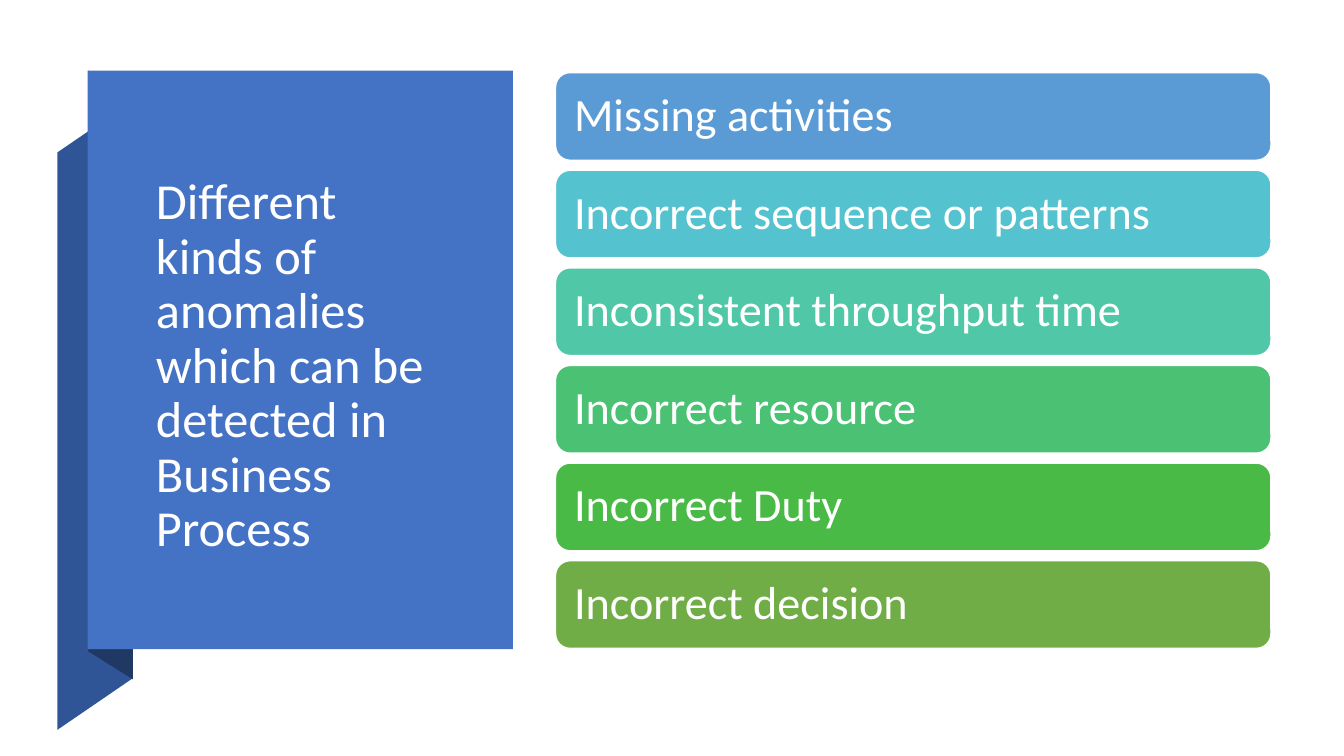
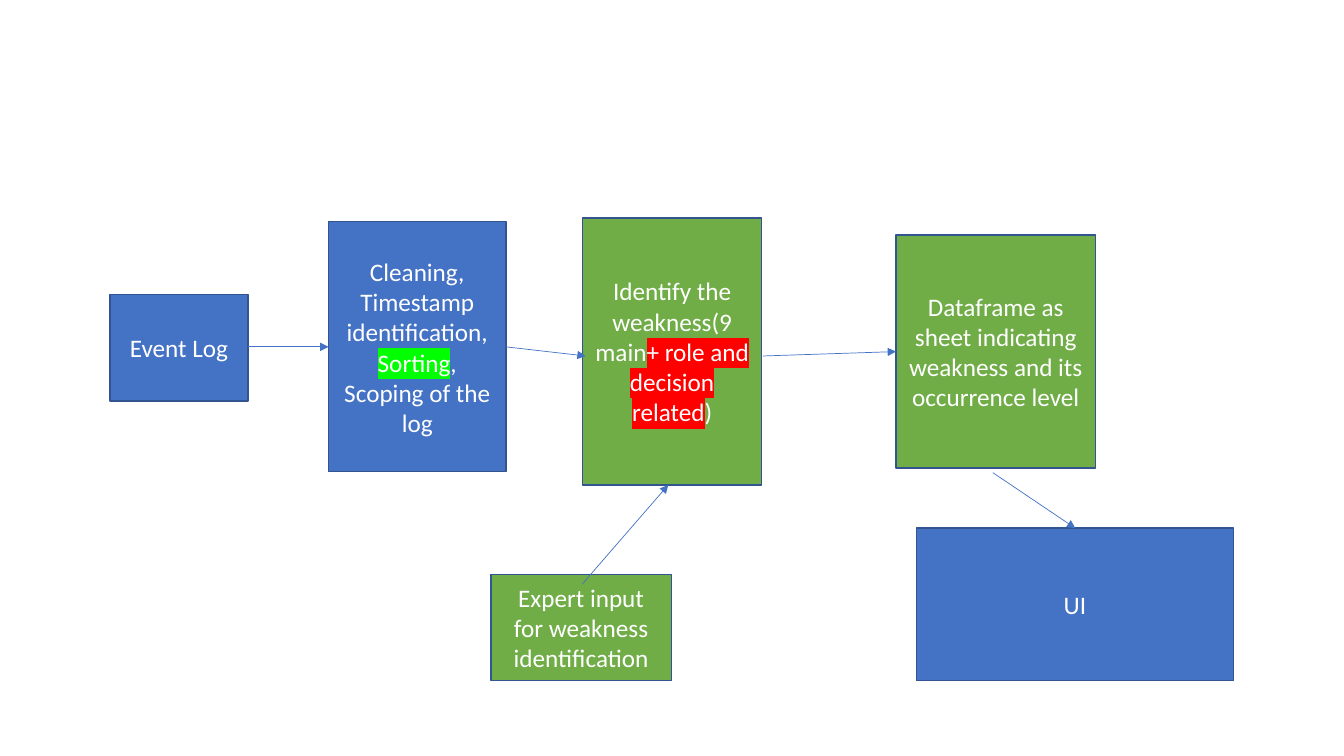
"""Build two slides on business process anomalies and their detection workflow."""
import dataclasses
import typing

import lxml.etree
import pptx
import pptx.dml.color
import pptx.enum.shapes
import pptx.enum.text
import pptx.oxml.ns
import pptx.util

Cm = pptx.util.Cm
Pt = pptx.util.Pt
Shapes = pptx.enum.shapes.MSO_SHAPE
Align = pptx.enum.text.PP_ALIGN

FONT = "Calibri"
WHITE = "FFFFFF"
BLUE = "4472C4"
GREEN = "70AD47"
OUTLINE = "325491"
FOLD = "2F5597"
FOLD_SHADE = "203864"
LIME = "00FF00"
RED = "FF0000"


@dataclasses.dataclass(frozen=True)
class Area:
    left: float
    top: float
    width: float
    height: float

    def lengths(self) -> tuple:
        return Cm(self.left), Cm(self.top), Cm(self.width), Cm(self.height)


@dataclasses.dataclass(frozen=True)
class Span:
    text: str
    highlight: str = ""


@dataclasses.dataclass(frozen=True)
class Step:
    area: Area
    fill: str
    spans: tuple


@dataclasses.dataclass(frozen=True)
class Arrow:
    start: tuple
    end: tuple


@dataclasses.dataclass(frozen=True)
class Bar:
    text: str
    fill: str


def color(value: str) -> pptx.dml.color.RGBColor:
    return pptx.dml.color.RGBColor.from_string(value)


def paint(shape: typing.Any, fill: str, outline: str = "") -> None:
    shape.shadow.inherit = False
    shape.fill.solid()
    shape.fill.fore_color.rgb = color(fill)
    if outline:
        shape.line.color.rgb = color(outline)
        shape.line.width = Pt(1)
    else:
        shape.line.fill.background()


def add_box(page: typing.Any, kind: Shapes, area: Area, fill: str, outline: str = "") -> typing.Any:
    box = page.shapes.add_shape(kind, *area.lengths())
    paint(box, fill, outline)
    return box


def add_outline(page: typing.Any, corners: list, fill: str) -> None:
    points = [(Cm(x), Cm(y)) for x, y in corners]
    builder = page.shapes.build_freeform(*points[0])
    builder.add_line_segments(points[1:], close=True)
    paint(builder.convert_to_shape(), fill)


def write(box: typing.Any, spans: tuple, size: int, align: Align, spacing: float = 1.0) -> None:
    frame = box.text_frame
    frame.word_wrap = True
    frame.vertical_anchor = pptx.enum.text.MSO_ANCHOR.MIDDLE
    para = frame.paragraphs[0]
    para.alignment = align
    para.line_spacing = spacing
    para.font.name = FONT
    para.font.size = Pt(size)
    para.font.color.rgb = color(WHITE)
    for span in spans:
        run = para.add_run()
        run.text = span.text
        if span.highlight:
            properties = run._r.get_or_add_rPr()
            mark = lxml.etree.SubElement(properties, pptx.oxml.ns.qn("a:highlight"))
            lxml.etree.SubElement(mark, pptx.oxml.ns.qn("a:srgbClr"), val=span.highlight)


def add_arrow(page: typing.Any, arrow: Arrow) -> None:
    ends = [Cm(value) for value in arrow.start + arrow.end]
    connector = page.shapes.add_connector(pptx.enum.shapes.MSO_CONNECTOR.STRAIGHT, *ends)
    connector.line.color.rgb = color(BLUE)
    connector.line.width = Pt(0.5)
    properties = connector._element.spPr
    line = properties.find(pptx.oxml.ns.qn("a:ln"))
    lxml.etree.SubElement(line, pptx.oxml.ns.qn("a:tailEnd"), type="triangle")
    lxml.etree.SubElement(properties, pptx.oxml.ns.qn("a:effectLst"))


def add_page(deck: typing.Any) -> typing.Any:
    return deck.slides.add_slide(deck.slide_layouts[6])


TITLE = "Different kinds of anomalies which can be detected in Business Process"
BARS = [
    Bar("Missing activities", "5B9BD5"),
    Bar("Incorrect sequence or patterns", "55C3CF"),
    Bar("Inconsistent throughput time", "50C8A7"),
    Bar("Incorrect resource", "4BC174"),
    Bar("Incorrect Duty", "4ABA46"),
    Bar("Incorrect decision", GREEN),
]
BAR_AREA = Area(14, 1.83, 18.03, 2.21)
BAR_PITCH = 2.46

STEPS = [
    Step(Area(2.77, 7.42, 3.48, 2.69), BLUE, (Span("Event Log"),)),
    Step(Area(8.28, 5.59, 4.47, 6.3), BLUE, (
        Span("Cleaning, Timestamp identification, "),
        Span("Sorting", LIME),
        Span(", Scoping of the log"),
    )),
    Step(Area(14.68, 5.49, 4.52, 6.73), GREEN, (
        Span("Identify the weakness(9 main"),
        Span("+ role and decision related", RED),
        Span(")"),
    )),
    Step(Area(12.37, 14.48, 4.55, 2.67), GREEN, (
        Span("Expert input for weakness identification"),
    )),
    Step(Area(22.58, 5.92, 5.03, 5.87), GREEN, (
        Span("Dataframe as sheet indicating weakness and its occurrence level"),
    )),
    Step(Area(23.09, 13.31, 8, 3.84), BLUE, (Span("UI"),)),
]
ARROWS = [
    Arrow((6.25, 8.74), (8.28, 8.74)),
    Arrow((12.75, 8.74), (14.76, 8.97)),
    Arrow((14.68, 14.71), (16.84, 12.22)),
    Arrow((19.23, 8.97), (22.58, 8.86)),
    Arrow((25.02, 11.91), (27.1, 13.31)),
]


def draw_anomalies(page: typing.Any) -> None:
    add_outline(page, [(1.45, 18.39), (3.35, 17.09), (3.35, 2.54), (1.45, 3.84)], FOLD)
    add_outline(page, [(2.22, 16.41), (3.35, 17.12), (3.35, 2.51), (2.22, 1.78)], FOLD_SHADE)
    add_box(page, Shapes.RECTANGLE, Area(2.21, 1.78, 10.72, 14.58), BLUE)
    title = page.shapes.add_textbox(*Area(3.68, 4.24, 7.65, 10.01).lengths())
    write(title, (Span(TITLE),), 36, Align.LEFT, 0.9)
    for index, bar in enumerate(BARS):
        area = dataclasses.replace(BAR_AREA, top=BAR_AREA.top + index * BAR_PITCH)
        box = add_box(page, Shapes.ROUNDED_RECTANGLE, area, bar.fill, WHITE)
        box.text_frame.margin_left = Cm(0.36)
        write(box, (Span(bar.text),), 33, Align.LEFT, 0.9)


def draw_workflow(page: typing.Any) -> None:
    for step in STEPS:
        box = add_box(page, Shapes.RECTANGLE, step.area, step.fill, OUTLINE)
        write(box, step.spans, 18, Align.CENTER)
    for arrow in ARROWS:
        add_arrow(page, arrow)


def main() -> None:
    deck = pptx.Presentation()
    deck.slide_width = Cm(33.87)
    deck.slide_height = Cm(19.05)
    draw_anomalies(add_page(deck))
    draw_workflow(add_page(deck))
    deck.save("out.pptx")


main()
